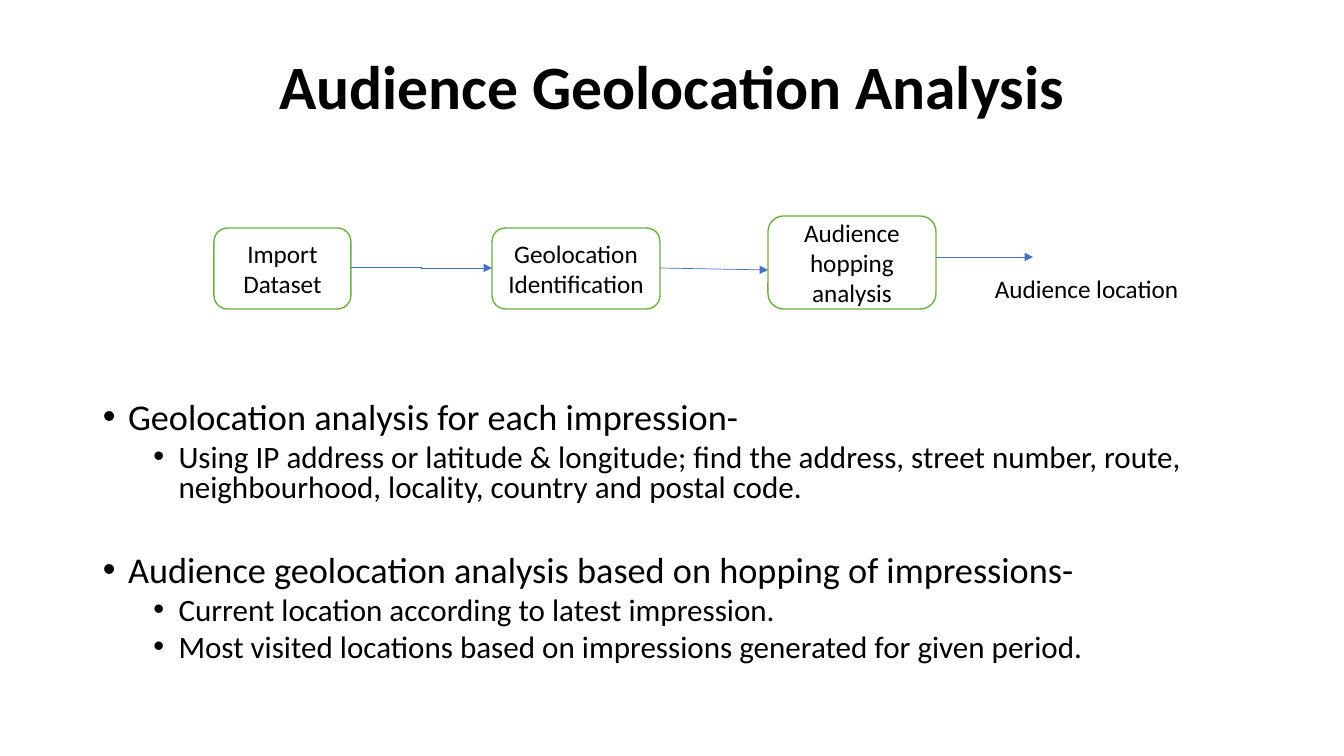
from dataclasses import dataclass
from pptx import Presentation
from pptx.dml.color import RGBColor
from pptx.enum.shapes import MSO_CONNECTOR, MSO_SHAPE
from pptx.enum.text import MSO_ANCHOR, PP_ALIGN
from pptx.oxml.ns import qn
from pptx.util import Inches, Pt
from lxml.etree import SubElement


@dataclass(frozen=True)
class Theme:
    font: str = "Calibri"
    ink: str = "000000"
    paper: str = "FFFFFF"
    edge: str = "70AD47"
    flow: str = "4472C4"
    title: float = 44
    label: float = 18
    levels: tuple = (25.9, 22.2)


TITLE = ("Audience Geolocation Analysis", (93, 17, 1159, 146))
STEPS = [
    ("Import Dataset", (214, 228, 137, 81)),
    ("Geolocation Identification", (492, 228, 168, 81)),
    ("Audience hopping analysis", (768, 216, 168, 93)),
]
RESULT = ("Audience location", (985, 268, 208, 40))
ARROWS = [
    (MSO_CONNECTOR.ELBOW, (351, 267, 492, 268)),
    (MSO_CONNECTOR.STRAIGHT, (660, 268, 768, 270)),
    (MSO_CONNECTOR.STRAIGHT, (936, 257, 1033, 257)),
]
POINTS = [
    (0, 10, "Geolocation analysis for each impression-"),
    (1, 5, "Using IP address or latitude & longitude; find the address, street number, route, "
           "neighbourhood, locality, country and postal code."),
    (0, 36.7, "Audience geolocation analysis based on hopping of impressions-"),
    (1, 5, "Current location according to latest impression."),
    (1, 5, "Most visited locations based on impressions generated for given period."),
]
BODY = (93, 398, 1159, 283)

look = Theme()
SCALE = 914400 / 100.8


def emu(box):
    return [round(n * SCALE) for n in box]


def rgb(code):
    return RGBColor.from_string(code)


def write(para, text, size, bold=False):
    run = para.add_run()
    run.text = text
    run.font.name = look.font
    run.font.size = Pt(size)
    run.font.bold = bold
    run.font.color.rgb = rgb(look.ink)


def frame(box, anchor=MSO_ANCHOR.TOP):
    text = slide.shapes.add_textbox(*emu(box)).text_frame
    text.word_wrap = True
    text.vertical_anchor = anchor
    return text


def step(text, box):
    shape = slide.shapes.add_shape(MSO_SHAPE.ROUNDED_RECTANGLE, *emu(box))
    shape.shadow.inherit = False
    shape.fill.solid()
    shape.fill.fore_color.rgb = rgb(look.paper)
    shape.line.color.rgb = rgb(look.edge)
    shape.line.width = Pt(1)
    shape.text_frame.word_wrap = True
    shape.text_frame.vertical_anchor = MSO_ANCHOR.MIDDLE
    para = shape.text_frame.paragraphs[0]
    para.alignment = PP_ALIGN.CENTER
    write(para, text, look.label)


def arrow(kind, ends):
    link = slide.shapes.add_connector(kind, *emu(ends))
    link.line.color.rgb = rgb(look.flow)
    link.line.width = Pt(0.5)
    SubElement(link.line._get_or_add_ln(), qn("a:tailEnd"), type="triangle")
    SubElement(link._element.spPr, qn("a:effectLst"))


def point(para, level, gap, text):
    para.level = level
    para.line_spacing = 0.8
    para.space_before = Pt(gap)
    props = para._p.get_or_add_pPr()
    props.set("marL", str(Inches(0.25 + 0.5 * level)))
    props.set("indent", str(-Inches(0.25)))
    SubElement(props, qn("a:buFont"), typeface="Arial")
    SubElement(props, qn("a:buChar"), char="•")
    write(para, text, look.levels[level])


deck = Presentation()
deck.slide_width, deck.slide_height = emu((1344, 756))
slide = deck.slides.add_slide(deck.slide_layouts[6])

head = frame(TITLE[1], MSO_ANCHOR.MIDDLE).paragraphs[0]
head.alignment = PP_ALIGN.CENTER
head.line_spacing = 0.9
write(head, TITLE[0], look.title, True)

for text, box in STEPS:
    step(text, box)
for kind, ends in ARROWS:
    arrow(kind, ends)
write(frame(RESULT[1]).paragraphs[0], RESULT[0], look.label)

body = frame(BODY)
for i, item in enumerate(POINTS):
    point(body.add_paragraph() if i else body.paragraphs[0], *item)

deck.save("out.pptx")
